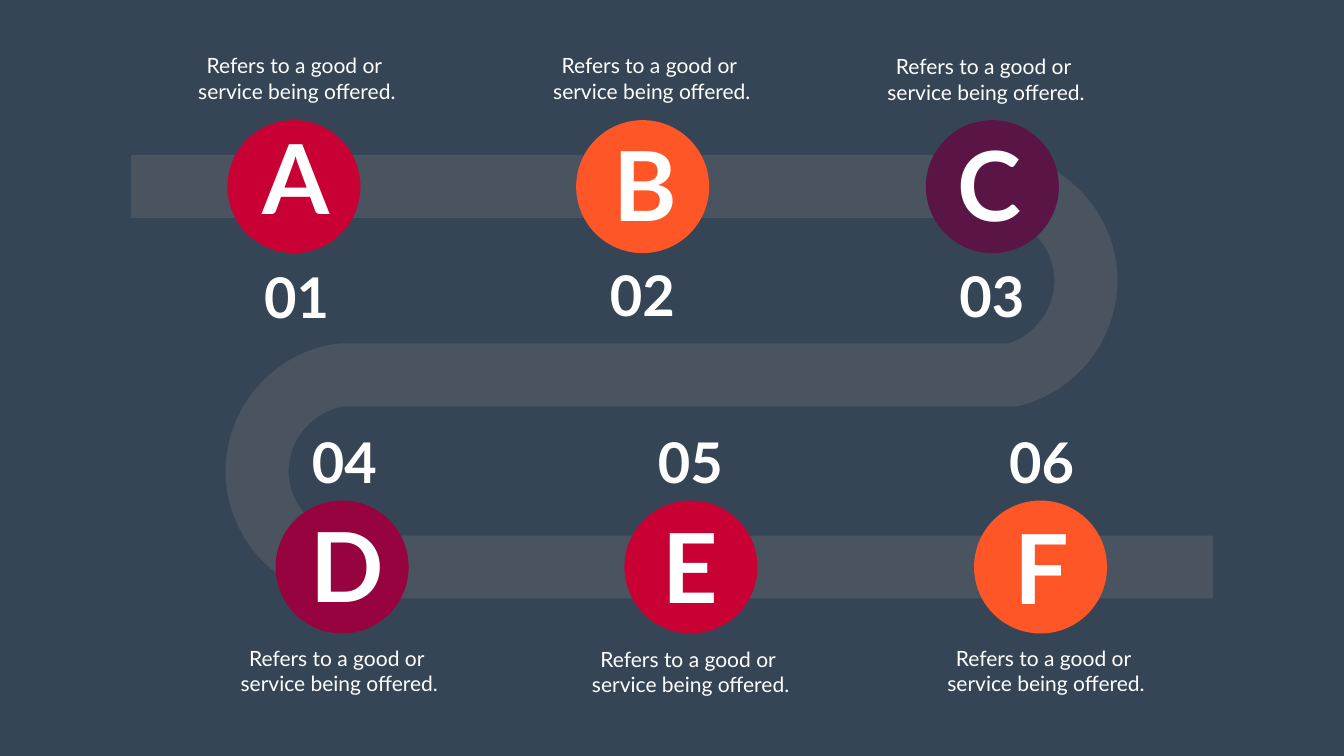
from dataclasses import dataclass

from lxml import etree
from pptx import Presentation
from pptx import util as u
from pptx.dml.color import RGBColor
from pptx.enum import shapes, text
from pptx.oxml import ns


@dataclass(frozen=True)
class Theme:
    font: str = "Lato"
    background: str = "364556"
    road: str = "808080"
    road_opacity: int = 25
    white: str = "FFFFFF"
    crimson: str = "C80033"
    orange: str = "FE5626"
    purple: str = "5A1445"
    wine: str = "96033E"
    letter_size: int = 138
    number_size: int = 80
    caption_size: int = 30


THEME = Theme()
SLIDE_WIDTH, SLIDE_HEIGHT = 1919.52, 1080
ROAD_WIDTH = 90
DIAMETER = 190
TOP_ROW, BOTTOM_ROW = 266.6, 810
CURVE_STEPS = 24
CAPTION = ("Refers to a good or ", "service being offered.")
CAPTION_SIZE = (302.4, 80)
NUMBER_SIZE = (108, 104.4)
LETTER_HEIGHT = 174.2

ROAD_START = (187.2, 266.4)
# One point is a straight stretch; three are a Bezier bend.
ROAD = [
    [(1446.5, 266.4)],
    [(1509.1, 282.9), (1552.3, 340.5), (1550.9, 403.9)],
    [(1549.4, 465.8), (1507, 519.8), (1446.5, 535.7)],
    [(486, 535.7)],
    [(418.3, 545.8), (367.9, 604.1), (367.2, 671.8)],
    [(366.5, 740.2), (417.6, 799.9), (486, 810)],
    [(1732.3, 810)],
]


@dataclass(frozen=True)
class Stop:
    letter: str
    color: str
    center: tuple
    letter_at: tuple
    letter_width: float
    number_at: tuple
    caption_at: tuple


STOPS = [
    Stop("A", THEME.crimson, (419.8, TOP_ROW), (367.2, 165.6), 111.6, (370.1, 370.8), (272.9, 72)),
    Stop("B", THEME.orange, (917.8, TOP_ROW), (869.8, 175), 106.6, (864, 368.6), (779.8, 72)),
    Stop("C", THEME.purple, (1417.3, TOP_ROW), (1360.8, 174.2), 106.6, (1363, 370.1), (1257.1, 73.4)),
    Stop("D", THEME.wine, (488.6, BOTTOM_ROW), (437, 719.3), 120.2, (438.5, 607.7), (333.4, 918)),
    Stop("E", THEME.crimson, (986.8, BOTTOM_ROW), (938.9, 720), 95, (932.4, 607.7), (835.2, 920.2)),
    Stop("F", THEME.orange, (1486.1, BOTTOM_ROW), (1441.4, 722.2), 93.6, (1434.2, 607), (1342.8, 918.7)),
]


def rgb(color):
    return RGBColor.from_string(color)


def bend_points(start, first, second, end):
    """Sample a cubic Bezier curve, leaving out its start."""
    points = []
    for step in range(1, CURVE_STEPS + 1):
        t = step / CURVE_STEPS
        weights = ((1 - t) ** 3, 3 * t * (1 - t) ** 2, 3 * t * t * (1 - t), t ** 3)
        corners = (start, first, second, end)
        points.append(tuple(sum(w * c[axis] for w, c in zip(weights, corners)) for axis in (0, 1)))
    return points


def add_road(slide):
    points = [ROAD_START]
    for stretch in ROAD:
        points += stretch if len(stretch) == 1 else bend_points(points[-1], *stretch)
    (left, top), *rest = [(u.Pt(x), u.Pt(y)) for x, y in points]
    builder = slide.shapes.build_freeform(left, top)
    builder.add_line_segments(rest, close=False)
    road = builder.convert_to_shape()
    road.shadow.inherit = False
    road.fill.background()
    road.line.width = u.Pt(ROAD_WIDTH)
    road.line.color.rgb = rgb(THEME.road)
    color = road.line.fill._xPr.find(".//" + ns.qn("a:srgbClr"))
    etree.SubElement(color, ns.qn("a:alpha"), val=str(THEME.road_opacity * 1000))


def add_disc(slide, center, color):
    left, top = (u.Pt(value - DIAMETER / 2) for value in center)
    disc = slide.shapes.add_shape(
        shapes.MSO_SHAPE.OVAL, left, top, u.Pt(DIAMETER), u.Pt(DIAMETER))
    disc.shadow.inherit = False
    disc.fill.solid()
    disc.fill.fore_color.rgb = rgb(color)
    disc.line.fill.background()


def add_text(slide, at, extent, lines, size, bold=False, align=text.PP_ALIGN.LEFT, wrap=False):
    box = slide.shapes.add_textbox(*(u.Pt(value) for value in (*at, *extent)))
    frame = box.text_frame
    frame.word_wrap = wrap
    frame.auto_size = text.MSO_AUTO_SIZE.SHAPE_TO_FIT_TEXT
    for index, line in enumerate(lines):
        para = frame.add_paragraph() if index else frame.paragraphs[0]
        para.text = line
        para.alignment = align
        para.font.name = THEME.font
        para.font.size = u.Pt(size)
        para.font.bold = bold
        para.font.color.rgb = rgb(THEME.white)


def add_stop(slide, number, stop):
    add_disc(slide, stop.center, stop.color)
    add_text(slide, stop.letter_at, (stop.letter_width, LETTER_HEIGHT), [stop.letter],
             THEME.letter_size, bold=True)
    add_text(slide, stop.caption_at, CAPTION_SIZE, CAPTION, THEME.caption_size,
             align=text.PP_ALIGN.CENTER, wrap=True)
    add_text(slide, stop.number_at, NUMBER_SIZE, [f"{number:02}"], THEME.number_size, bold=True)


def main():
    deck = Presentation()
    deck.slide_width, deck.slide_height = u.Pt(SLIDE_WIDTH), u.Pt(SLIDE_HEIGHT)
    slide = deck.slides.add_slide(deck.slide_layouts[6])
    slide.background.fill.solid()
    slide.background.fill.fore_color.rgb = rgb(THEME.background)
    add_road(slide)
    for number, stop in enumerate(STOPS, start=1):
        add_stop(slide, number, stop)
    deck.save("out.pptx")


if __name__ == "__main__":
    main()
